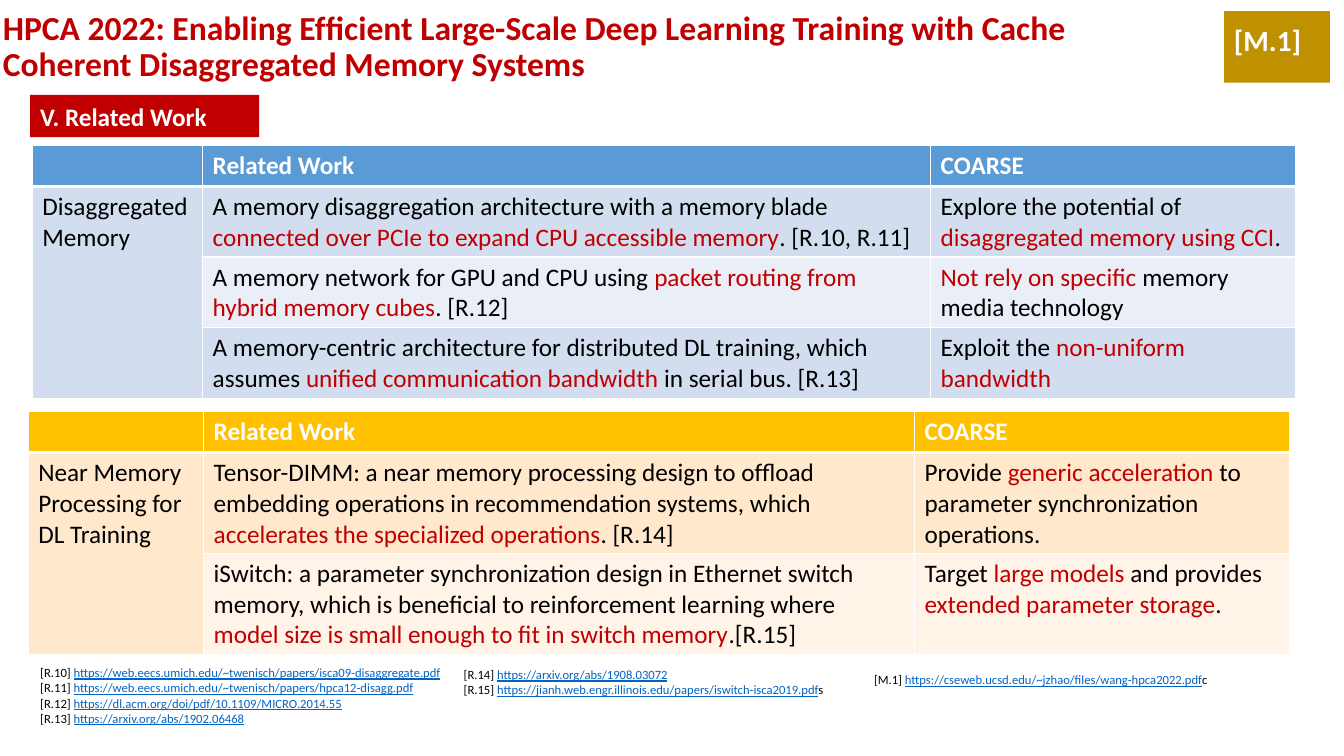
from lxml.etree import SubElement
from pptx import Presentation
from pptx.dml.color import RGBColor
from pptx.enum.shapes import MSO_SHAPE
from pptx.enum.text import MSO_ANCHOR as Anchor, PP_ALIGN as Align
from pptx.oxml import parse_xml
from pptx.oxml.ns import nsdecls, qn
from pptx.util import Inches, Pt

RED = RGBColor(0xC0, 0x00, 0x00)
BLUE = RGBColor(0x5B, 0x9B, 0xD5)
BLUE_MID = RGBColor(0xD2, 0xDE, 0xEF)
BLUE_PALE = RGBColor(0xEA, 0xEF, 0xF7)
GOLD = RGBColor(0xFF, 0xC0, 0x00)
GOLD_MID = RGBColor(0xFF, 0xE8, 0xCC)
GOLD_PALE = RGBColor(0xFF, 0xF4, 0xE7)
DARK_GOLD = RGBColor(0xBF, 0x90, 0x00)
LINK = RGBColor(0x05, 0x63, 0xC1)
BLACK = RGBColor(0x00, 0x00, 0x00)
WHITE = RGBColor(0xFF, 0xFF, 0xFF)

DISAGGREGATED = [
    ["", "Related Work", "COARSE"],
    ["Disaggregated Memory",
     "A memory disaggregation architecture with a memory blade "
     "|connected over PCIe to expand CPU accessible memory|. [R.10, R.11]",
     "Explore the potential of |disaggregated memory using CCI|."],
    ["",
     "A memory network for GPU and CPU using "
     "|packet routing from hybrid memory cubes|. [R.12]",
     "|Not rely on speciﬁc| memory media technology"],
    ["",
     "A memory-centric architecture for distributed DL training, which assumes "
     "|uniﬁed communication bandwidth |in serial bus. [R.13]",
     "Exploit the |non-uniform bandwidth"],
]
NEAR_MEMORY = [
    ["", "Related Work", "COARSE"],
    ["Near Memory Processing for DL Training",
     "Tensor-DIMM: a near memory processing design to ofﬂoad embedding "
     "operations in recommendation systems, which "
     "|accelerates the specialized operations|. [R.14]",
     "Provide |generic acceleration |to parameter synchronization\noperations."],
    ["",
     "iSwitch: a parameter synchronization design in Ethernet switch memory, "
     "which is beneﬁcial to reinforcement learning where "
     "|model size is small enough to ﬁt in switch memory|.[R.15]",
     "Target |large models |and provides |extended parameter storage|."],
]
REFERENCES = [
    (0.3, 6.55, 4.69, 0.71,
     "[R.10] |https://web.eecs.umich.edu/~twenisch/papers/isca09-disaggregate.pdf\n"
     "[R.11] |https://web.eecs.umich.edu/~twenisch/papers/hpca12-disagg.pdf\n"
     "[R.12] |https://dl.acm.org/doi/pdf/10.1109/MICRO.2014.55\n"
     "[R.13] |https://arxiv.org/abs/1902.06468"),
    (4.5, 6.57, 4.09, 0.4,
     "[R.14] |https://arxiv.org/abs/1908.03072\n"
     "[R.15] |https://jianh.web.engr.illinois.edu/papers/iswitch-isca2019.pdf|s"),
    (8.57, 6.62, 4.09, 0.25,
     "[M.1] |https://cseweb.ucsd.edu/~jzhao/files/wang-hpca2022.pdf|c"),
]


class Deck:
    font = "Calibri"

    def __init__(self):
        self.prs = Presentation()
        self.prs.slide_width, self.prs.slide_height = Inches(13.33), Inches(7.5)
        self.s = self.prs.slides.add_slide(self.prs.slide_layouts[6])

    def fill_text(self, tf, text, size, color=BLACK, bold=False, accent=RED, underline=False):
        tf.word_wrap = True
        for i, line in enumerate(text.split("\n")):
            p = tf.paragraphs[0] if i == 0 else tf.add_paragraph()
            p.alignment = Align.LEFT
            p.font.name, p.font.size, p.font.bold = self.font, Pt(size), bold
            for j, part in enumerate(line.split("|")):
                if part:
                    r = p.add_run()
                    r.text = part
                    r.font.color.rgb = accent if j % 2 else color
                    r.font.underline = underline and j % 2 == 1

    def text(self, x, y, w, h, text, size, anchor=Anchor.TOP, **style):
        tf = self.s.shapes.add_textbox(Inches(x), Inches(y), Inches(w), Inches(h)).text_frame
        tf.vertical_anchor = anchor
        self.fill_text(tf, text, size, **style)
        return tf

    def label(self, x, y, w, h, text, size, fill, anchor):
        sp = self.s.shapes.add_shape(
            MSO_SHAPE.RECTANGLE, Inches(x), Inches(y), Inches(w), Inches(h))
        sp.shadow.inherit = False
        sp.fill.solid()
        sp.fill.fore_color.rgb = fill
        sp.line.fill.background()
        sp.text_frame.vertical_anchor = anchor
        self.fill_text(sp.text_frame, text, size, WHITE, True)
        return sp.text_frame

    def border(self, cell, top, bottom):
        tc_pr = cell._tc.get_or_add_tcPr()
        for i, (side, width) in enumerate(zip("LRTB", (1, 1, top, bottom))):
            ln = parse_xml(f'<a:ln{side} {nsdecls("a")} w="{Pt(width)}"/>')
            fill = SubElement(ln, qn("a:solidFill"))
            SubElement(fill, qn("a:srgbClr"), val=str(WHITE))
            tc_pr.insert(i, ln)

    def table(self, x, y, widths, heights, rows, header, bands):
        t = self.s.shapes.add_table(
            len(rows), len(widths), Inches(x), Inches(y),
            Inches(sum(widths)), Inches(sum(heights))).table
        for col, width in zip(t.columns, widths):
            col.width = Inches(width)
        for row, height in zip(t.rows, heights):
            row.height = Inches(height)
        t.cell(1, 0).merge(t.cell(len(rows) - 1, 0))
        for i, row in enumerate(rows):
            for j, text in enumerate(row):
                cell = t.cell(i, j)
                cell.fill.solid()
                band = bands[0] if j == 0 else bands[(i - 1) % 2]
                cell.fill.fore_color.rgb = band if i else header
                self.border(cell, 3 if i == 1 else 1, 1 if i else 3)
                self.fill_text(cell.text_frame, text, 18, BLACK if i else WHITE, i == 0)


def main():
    deck = Deck()
    title = deck.text(
        -0.07, 0, 11.9, 0.95,
        "HPCA 2022: Enabling Efﬁcient Large-Scale Deep Learning Training with Cache "
        "Coherent Disaggregated Memory Systems",
        24, Anchor.MIDDLE, color=RED, bold=True)
    title.paragraphs[0].line_spacing = 0.9
    deck.label(0.3, 0.94, 2.27, 0.42, "V. Related Work", 18, RED, Anchor.MIDDLE)
    badge = deck.label(12.14, 0.11, 1.05, 0.71, "[M.1]", 36, DARK_GOLD, Anchor.TOP)
    badge.paragraphs[0].runs[0].font._element.set("baseline", "30000")
    deck.table(0.32, 1.44, (1.69, 7.22, 3.62), (0.41, 0.7, 0.7, 0.7),
               DISAGGREGATED, BLUE, (BLUE_MID, BLUE_PALE))
    deck.table(0.28, 4.08, (1.74, 7.05, 3.72), (0.41, 1, 1),
               NEAR_MEMORY, GOLD, (GOLD_MID, GOLD_PALE))
    for x, y, w, h, text in REFERENCES:
        deck.text(x, y, w, h, text, 9, accent=LINK, underline=True)
    deck.prs.save("out.pptx")


if __name__ == "__main__":
    main()
